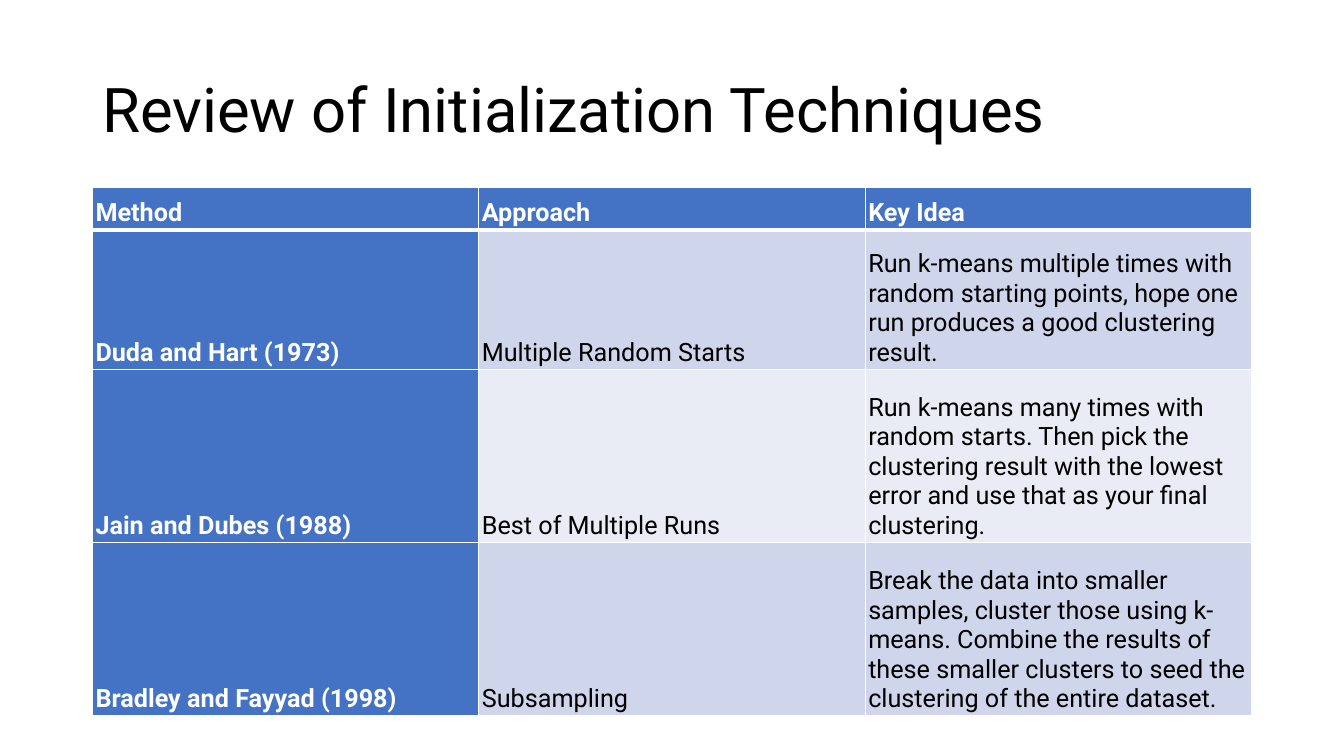
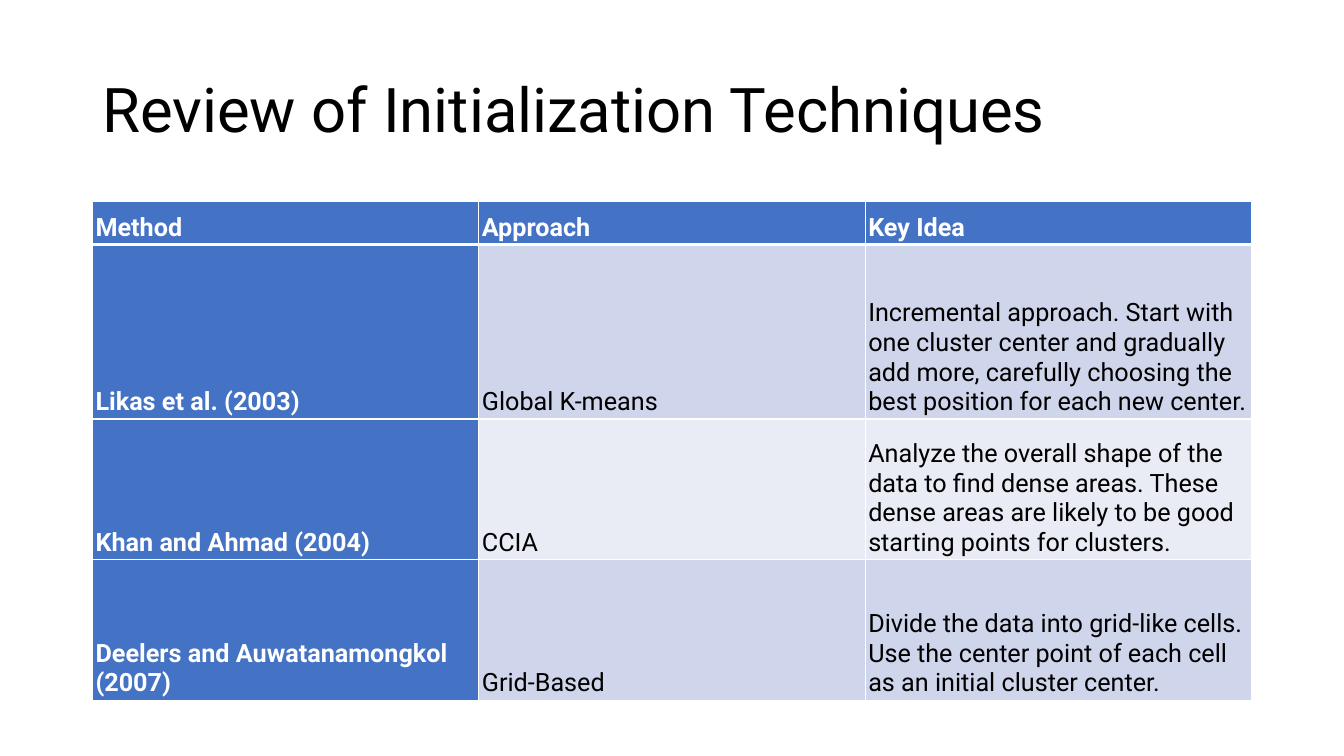
import pptx
import pptx.util
import pptx.dml.color
import pptx.enum.text
import pptx.oxml.ns
from lxml import etree

TITLE = "Review of Initialization Techniques"
HEAD = ("Method", "Approach", "Key Idea")
SLIDES = [
    {"top": 178, "rows": [
        (133, "Duda and Hart (1973)", "Multiple Random Starts",
         "Run k-means multiple times with random starting points, "
         "hope one run produces a good clustering result."),
        (165, "Jain and Dubes (1988)", "Best of Multiple Runs",
         "Run k-means many times with random starts. Then pick the clustering "
         "result with the lowest error and use that as your final clustering."),
        (165, "Bradley and Fayyad (1998)", "Subsampling",
         "Break the data into smaller samples, cluster those using k-means. "
         "Combine the results of these smaller clusters to seed the "
         "clustering of the entire dataset."),
    ]},
    {"top": 192, "rows": [
        (166, "Likas et al. (2003)", "Global K-means",
         "Incremental approach. Start with one cluster center and gradually "
         "add more, carefully choosing the best position for each new center."),
        (134, "Khan and Ahmad (2004)", "CCIA",
         "Analyze the overall shape of the data to find dense areas. "
         "These dense areas are likely to be good starting points for clusters."),
        (134, "Deelers and Auwatanamongkol (2007)", "Grid-Based",
         "Divide the data into grid-like cells. Use the center point "
         "of each cell as an initial cluster center."),
    ]},
]
FONT = "Roboto"
BLUE, WHITE, BLACK = "4472C4", "FFFFFF", "000000"
BANDS = ("CFD5EA", "E9EBF5")
LEFT, WIDE, HEADH = 88, 1104, 41
ANCHOR = pptx.enum.text.MSO_ANCHOR


def px(n):
    return pptx.util.Emu(n * 9525)


def color(code):
    return pptx.dml.color.RGBColor.from_string(code)


def write(frame, text, size, code, bold=False):
    para = frame.paragraphs[0]
    run = para.add_run()
    run.text = text
    run.font.name = FONT
    run.font.size = pptx.util.Pt(size)
    run.font.bold = bold
    run.font.color.rgb = color(code)
    return para


def border(cell, sides):
    props = cell._tc.get_or_add_tcPr()
    qn = pptx.oxml.ns.qn
    for side, width in sides.items():
        line = etree.SubElement(props, qn("a:ln" + side), w=str(pptx.util.Pt(width)))
        fill = etree.SubElement(line, qn("a:solidFill"))
        etree.SubElement(fill, qn("a:srgbClr"), val=WHITE)


def title(slide):
    box = slide.shapes.add_textbox(px(LEFT), px(38), px(WIDE), px(139))
    frame = box.text_frame
    frame.word_wrap = True
    frame.vertical_anchor = ANCHOR.MIDDLE
    write(frame, TITLE, 44, BLACK).line_spacing = 0.9


def grid(slide, top, rows):
    rows = [(HEADH, *HEAD), *rows]
    high = sum(row[0] for row in rows)
    table = slide.shapes.add_table(
        len(rows), len(HEAD), px(LEFT), px(top), px(WIDE), px(high)).table
    for col in table.columns:
        col.width = px(WIDE // len(HEAD))
    for r, (tall, *texts) in enumerate(rows):
        table.rows[r].height = px(tall)
        for c, text in enumerate(texts):
            cell = table.cell(r, c)
            strong = r == 0 or c == 0
            border(cell, {"L": 1, "R": 1, "T": 3 if r == 1 else 1, "B": 3 if r == 0 else 1})
            cell.fill.solid()
            cell.fill.fore_color.rgb = color(BLUE if strong else BANDS[(r - 1) % 2])
            cell.margin_left = cell.margin_right = px(3)
            cell.margin_top = cell.margin_bottom = px(2)
            cell.vertical_anchor = ANCHOR.BOTTOM
            write(cell.text_frame, text, 18, WHITE if strong else BLACK, strong)


def main():
    deck = pptx.Presentation()
    deck.slide_width, deck.slide_height = px(1280), px(720)
    for data in SLIDES:
        slide = deck.slides.add_slide(deck.slide_layouts[6])
        title(slide)
        grid(slide, data["top"], data["rows"])
    deck.save("out.pptx")


if __name__ == "__main__":
    main()
